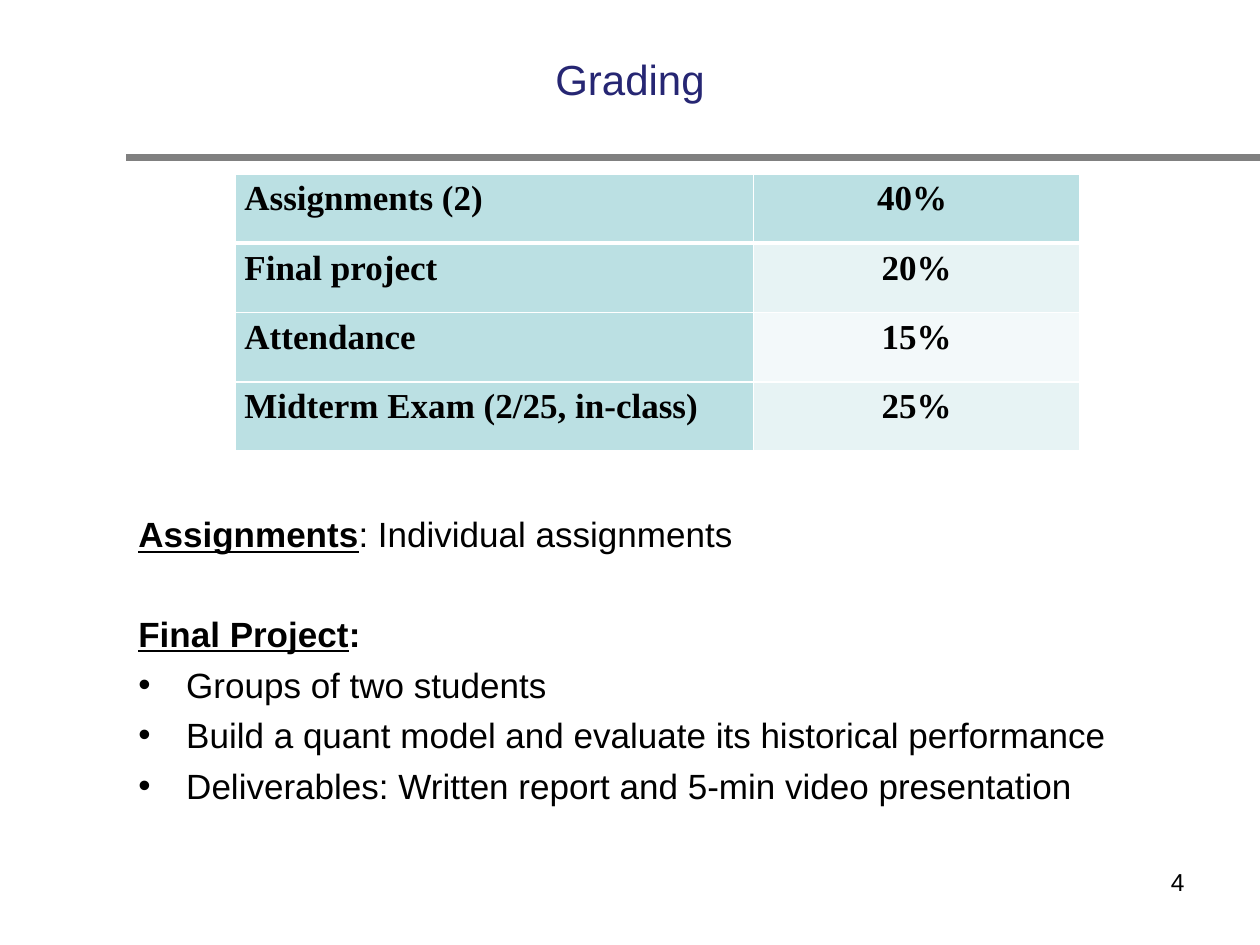
from dataclasses import dataclass

from lxml.etree import SubElement
from pptx import Presentation
from pptx.dml.color import RGBColor
from pptx.enum.shapes import MSO_CONNECTOR
from pptx.enum.text import MSO_ANCHOR, PP_ALIGN
from pptx.oxml.ns import qn
from pptx.util import Inches, Pt


@dataclass(frozen=True)
class Theme:
    """Hold the colours, fonts and type sizes of the slide."""
    navy: str = "262673"
    black: str = "000000"
    white: str = "FFFFFF"
    gray: str = "808080"
    teal: str = "BBE0E3"
    pale: str = "E7F3F4"
    faint: str = "F3F9FA"
    sans: str = "Arial"
    serif: str = "Times New Roman"
    head: int = 24
    body: int = 20
    small: int = 14
    gap: int = 5
    blank: int = 33


THEME = Theme()
GRADES = [
    ("Assignments (2)", "40% "),
    ("Final project", "20%"),
    ("Attendance ", "15%"),
    ("Midterm Exam (2/25, in-class)", "25%"),
]
TASKS = [
    "Groups of two students",
    "Build a quant model and evaluate its historical performance",
    "Deliverables: Written report and 5-min video presentation",
]


def add_run(para, text, size=THEME.body, color=THEME.black, font=THEME.sans,
            bold=False, under=False):
    """Add one styled run to a paragraph."""
    run = para.add_run()
    run.text = text
    run.font.size = Pt(size)
    run.font.name = font
    run.font.bold = bold
    run.font.underline = under
    run.font.color.rgb = RGBColor.from_string(color)


def add_title(slide, text):
    """Place and fill the title placeholder."""
    title = slide.shapes.title
    title.left, title.top = Inches(0.5), Inches(0)
    title.width, title.height = Inches(9), Inches(1.25)
    frame = title.text_frame
    frame.vertical_anchor = MSO_ANCHOR.MIDDLE
    para = frame.paragraphs[0]
    para.alignment = PP_ALIGN.CENTER
    add_run(para, text, THEME.head, THEME.navy)


def add_rule(slide):
    """Draw the thick line below the title."""
    rule = slide.shapes.add_connector(
        MSO_CONNECTOR.STRAIGHT, Inches(1), Inches(1.25), Inches(10), Inches(1.25))
    rule.line.color.rgb = RGBColor.from_string(THEME.gray)
    rule.line.width = Pt(4.5)
    SubElement(rule._element.spPr, qn("a:effectLst"))


def add_edge(cell, side, width):
    """Draw one white border of a cell."""
    edge = SubElement(cell._tc.get_or_add_tcPr(), qn(f"a:ln{side}"), w=str(Pt(width)))
    fill = SubElement(edge, qn("a:solidFill"))
    SubElement(fill, qn("a:srgbClr"), val=THEME.white)


def fill_cell(cell, text, color, align, base):
    """Style a cell and write its text."""
    cell.margin_left = cell.margin_right = Inches(0.07)
    cell.margin_top = cell.margin_bottom = Inches(0)
    for side, width in (("L", 1), ("R", 1), ("T", 1), ("B", base)):
        add_edge(cell, side, width)
    cell.fill.solid()
    cell.fill.fore_color.rgb = RGBColor.from_string(color)
    para = cell.text_frame.paragraphs[0]
    para.alignment = align
    para.line_spacing = 1.15
    add_run(para, text, font=THEME.serif, bold=True)


def add_grades(slide):
    """Add the table of grade weights."""
    table = slide.shapes.add_table(
        len(GRADES), 2, Inches(1.87), Inches(1.38), Inches(6.7), Inches(2.2)).table
    for col, width in zip(table.columns, (4.11, 2.59)):
        col.width = Inches(width)
    tints = (THEME.teal, THEME.pale, THEME.faint, THEME.pale)
    for row, ((name, share), tint) in enumerate(zip(GRADES, tints)):
        table.rows[row].height = Inches(0.55)
        base = 3 if row == 0 else 1
        fill_cell(table.cell(row, 0), name, THEME.teal, PP_ALIGN.LEFT, base)
        fill_cell(table.cell(row, 1), share, tint, PP_ALIGN.CENTER, base)


def add_box(slide, left, top, width, height):
    """Add a wrapping text box and return its frame."""
    box = slide.shapes.add_textbox(
        Inches(left), Inches(top), Inches(width), Inches(height))
    box.text_frame.word_wrap = True
    return box.text_frame


def add_label(para, label, rest, bold, space):
    """Write an underlined label and the text after it."""
    para.space_before = Pt(space)
    add_run(para, label, bold=True, under=True)
    add_run(para, rest, bold=bold)


def add_bullet(para, text):
    """Write a bulleted line with a hanging indent."""
    para.space_before = Pt(THEME.gap)
    props = para._p.get_or_add_pPr()
    props.set("marL", str(Inches(0.38)))
    props.set("indent", str(-Inches(0.38)))
    color = SubElement(props, qn("a:buClr"))
    SubElement(color, qn("a:srgbClr"), val=THEME.black)
    SubElement(props, qn("a:buFont"), typeface=THEME.sans)
    SubElement(props, qn("a:buChar"), char="•")
    add_run(para, text)


def add_notes(slide):
    """Add the details on assignments and project."""
    frame = add_box(slide, 1, 4.02, 9, 3.33)
    add_label(frame.paragraphs[0], "Assignments", ": Individual assignments",
              False, THEME.gap)
    add_label(frame.add_paragraph(), "Final Project", ":", True, THEME.blank)
    for task in TASKS:
        add_bullet(frame.add_paragraph(), task)


def add_number(slide, text):
    """Add the page number."""
    para = add_box(slide, 7.17, 6.83, 2.33, 0.52).paragraphs[0]
    para.alignment = PP_ALIGN.RIGHT
    add_run(para, text, THEME.small)


def main():
    """Build the slide and save it."""
    deck = Presentation()
    deck.slide_width, deck.slide_height = Inches(10), Inches(7.5)
    slide = deck.slides.add_slide(deck.slide_layouts[5])
    add_rule(slide)
    add_title(slide, "Grading")
    add_notes(slide)
    add_number(slide, "4")
    add_grades(slide)
    deck.save("out.pptx")


if __name__ == "__main__":
    main()
